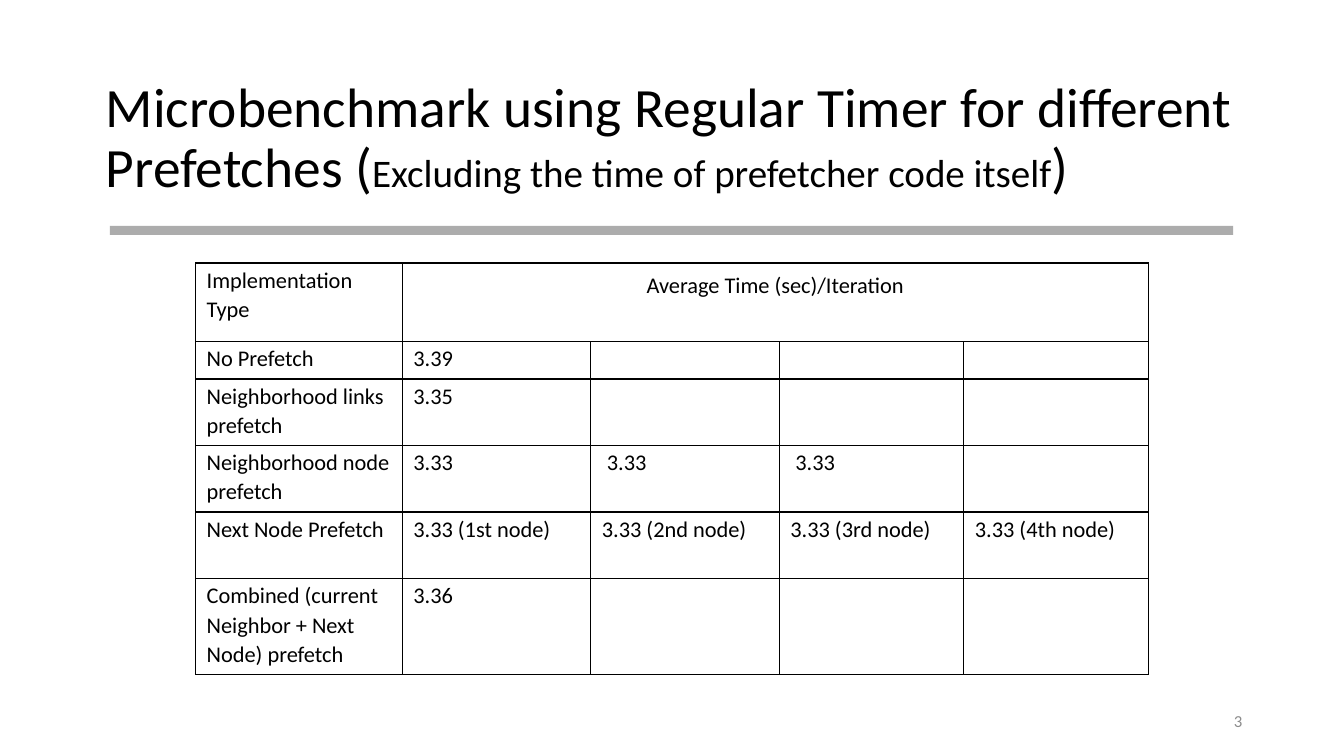
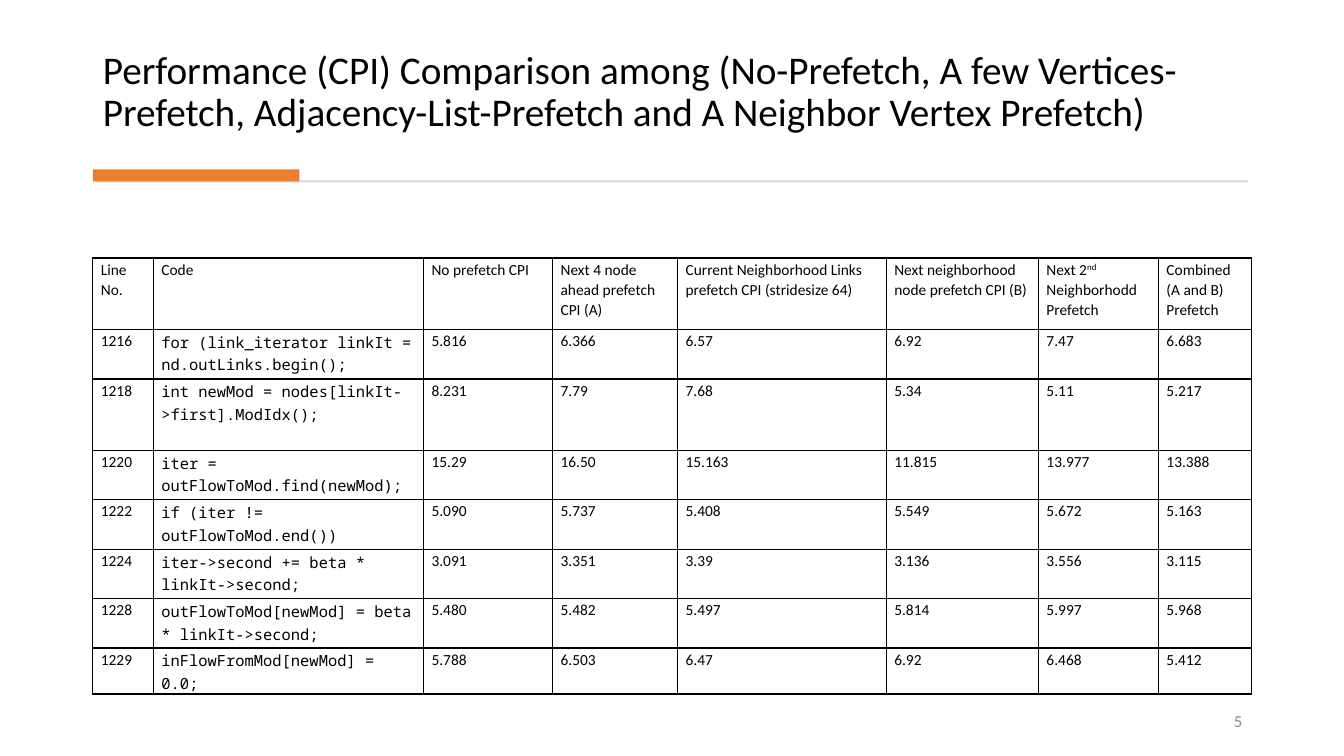
"""Build two slides that compare prefetching strategies in tables."""
from lxml import etree
from pptx import Presentation
from pptx.dml.color import RGBColor
from pptx.enum.shapes import MSO_SHAPE
from pptx.enum.text import MSO_ANCHOR, MSO_AUTO_SIZE, PP_ALIGN
from pptx.oxml.ns import qn
from pptx.util import Inches, Pt

COLORS = {"text": "000000", "number": "8C8C8C", "band": "808080",
          "rule": "D5D5D5", "accent": "ED7D31"}
BODY_FONT = "Calibri"
CODE_FONT = "Noto Sans Mono"
LINE_SPACING = 1.07
TITLE_SPACING = 0.9
NUMBER_BOX = (9.42, 6.95, 3, 0.4)
MARGIN_SIDES = ("margin_left", "margin_top", "margin_right", "margin_bottom")

TIMER_ROWS = [
    ["Implementation Type", "Average Time (sec)/Iteration", "", "", ""],
    ["No Prefetch", "3.39", "", "", ""],
    ["Neighborhood links prefetch", "3.35", "", "", ""],
    ["Neighborhood node prefetch", "3.33", "3.33", "3.33", ""],
    ["Next Node Prefetch", "3.33 (1st node)", "3.33 (2nd node)",
     "3.33 (3rd node)", "3.33 (4th node)"],
    ["Combined (current Neighbor + Next Node) prefetch", "3.36", "", "", ""],
]
CPI_ROWS = [
    ["Line No.", "Code", "No prefetch CPI", "Next 4 node ahead prefetch CPI (A)",
     "Current Neighborhood Links prefetch CPI (stridesize 64)",
     "Next neighborhood node prefetch CPI (B)",
     [("Next 2", {}), ("nd", {"baseline": 30000}), (" Neighborhodd Prefetch", {})],
     "Combined (A and B) Prefetch"],
    ["1216", "for (link_iterator linkIt = nd.outLinks.begin();",
     "5.816", "6.366", "6.57", "6.92", "7.47", "6.683"],
    ["1218", "int newMod = nodes[linkIt->first].ModIdx();",
     "8.231", "7.79", "7.68", "5.34", "5.11", "5.217"],
    ["1220", "iter = outFlowToMod.find(newMod);",
     "15.29", "16.50", "15.163", "11.815", "13.977", "13.388"],
    ["1222", "if (iter != outFlowToMod.end())",
     "5.090", "5.737", "5.408", "5.549", "5.672", "5.163"],
    ["1224", "iter->second += beta * linkIt->second;",
     "3.091", "3.351", "3.39", "3.136", "3.556", "3.115"],
    ["1228", "outFlowToMod[newMod] = beta * linkIt->second;",
     "5.480", "5.482", "5.497", "5.814", "5.997", "5.968"],
    ["1229", "inFlowFromMod[newMod] = 0.0;",
     "5.788", "6.503", "6.47", "6.92", "6.468", "5.412"],
]
SLIDES = [
    {
        "number": "3",
        "title": [("Microbenchmark using Regular Timer for different Prefetches (", {}),
                  ("Excluding the time of prefetcher code itself", {"size": 27.9}),
                  (")", {})],
        "title_size": 39.6, "title_box": (0.95, 0.66, 11.43, 1.45),
        "title_anchor": MSO_ANCHOR.MIDDLE,
        "bands": [((1.09, 2.24, 11.14, 0.09), "band", 65)],
        "rows": TIMER_ROWS, "position": (1.94, 2.61), "size": 16,
        "columns": [2.05, 1.87, 1.87, 1.83, 1.83],
        "heights": [0.78, 0.37, 0.66, 0.66, 0.66, 0.95],
        "margins": (0.11, 0.02, 0.11, 0),
        "spans": [((0, 1), (0, 4))],
        "special_margins": {(0, 1): (0.15, 0.07, 0.15, 0.07),
                            (3, 2): (0.16, 0.02, 0.11, 0),
                            (3, 3): (0.16, 0.02, 0.11, 0)},
        "code_column": None,
    },
    {
        "number": "5",
        "title": "Performance (CPI) Comparison among (No-Prefetch, A few "
                 "Vertices-Prefetch, Adjacency-List-Prefetch and A Neighbor Vertex Prefetch)",
        "title_size": 28, "title_box": (0.92, 0.28, 11.49, 1.11),
        "title_anchor": MSO_ANCHOR.BOTTOM,
        "bands": [((0.95, 1.79, 11.43, 0.02), "rule", 100),
                  ((0.92, 1.68, 2.05, 0.12), "accent", 100)],
        "rows": CPI_ROWS, "position": (0.92, 2.56), "size": 11,
        "columns": [0.6, 2.68, 1.28, 1.24, 2.07, 1.51, 1.19, 0.92],
        "heights": [0.71, 0.49, 0.71, 0.49, 0.49, 0.49, 0.49, 0.27],
        "margins": (0.08, 0.01, 0.08, 0),
        "spans": [], "special_margins": {}, "code_column": 1,
    },
]


def inches(values):
    return [Inches(value) for value in values]


def apply(target, formats):
    for name, value in formats.items():
        setattr(target, name, value)


def write(paragraph, content, size, font=BODY_FONT, color="text", **formats):
    apply(paragraph, formats)
    apply(paragraph.font, {"size": Pt(size), "name": font})
    runs = [(content, {})] if isinstance(content, str) else content
    for text, changes in runs:
        if not text:
            continue
        run = paragraph.add_run()
        run.text = text
        apply(run.font, {"size": Pt(changes.get("size", size)), "name": font, "bold": False})
        run.font.color.rgb = RGBColor.from_string(COLORS[color])
        if "baseline" in changes:
            run.font._element.set("baseline", str(changes["baseline"]))


def add_title(slide, design):
    title = slide.shapes.title
    apply(title, dict(zip(("left", "top", "width", "height"), inches(design["title_box"]))))
    apply(title.text_frame, {"word_wrap": True, "auto_size": MSO_AUTO_SIZE.NONE,
                             "vertical_anchor": design["title_anchor"]})
    write(title.text_frame.paragraphs[0], design["title"], design["title_size"],
          alignment=PP_ALIGN.LEFT, line_spacing=TITLE_SPACING)


def add_band(slide, box, color, opacity):
    band = slide.shapes.add_shape(MSO_SHAPE.RECTANGLE, *inches(box))
    band.shadow.inherit = False
    band.line.fill.background()
    band.fill.solid()
    band.fill.fore_color.rgb = RGBColor.from_string(COLORS[color])
    if opacity < 100:
        fill_color = band._element.spPr.find(qn("a:solidFill"))[0]
        etree.SubElement(fill_color, qn("a:alpha"), val=str(opacity * 1000))


def add_borders(cell):
    properties = cell._tc.get_or_add_tcPr()
    for index, side in enumerate(("lnL", "lnR", "lnT", "lnB")):
        line = etree.Element(qn("a:" + side), w=str(Pt(1)))
        fill = etree.SubElement(line, qn("a:solidFill"))
        etree.SubElement(fill, qn("a:srgbClr"), val=COLORS["text"])
        properties.insert(index, line)


def add_table(slide, design):
    columns, heights = design["columns"], design["heights"]
    frame = slide.shapes.add_table(len(heights), len(columns), *inches(design["position"]),
                                   Inches(sum(columns)), Inches(sum(heights)))
    table = frame.table
    apply(table, {"first_row": False, "horz_banding": False})
    for column, width in zip(table.columns, columns):
        column.width = Inches(width)
    for row, height in zip(table.rows, heights):
        row.height = Inches(height)
    for start, end in design["spans"]:
        table.cell(*start).merge(table.cell(*end))
    for row_index, row in enumerate(design["rows"]):
        for column_index, content in enumerate(row):
            place = (row_index, column_index)
            cell = table.cell(*place)
            margins = design["special_margins"].get(place, design["margins"])
            apply(cell, dict(zip(MARGIN_SIDES, inches(margins))))
            cell.fill.background()
            add_borders(cell)
            is_code = row_index > 0 and column_index == design["code_column"]
            write(cell.text_frame.paragraphs[0], content, design["size"],
                  CODE_FONT if is_code else BODY_FONT, line_spacing=LINE_SPACING,
                  alignment=PP_ALIGN.CENTER if cell.is_merge_origin else PP_ALIGN.LEFT)


def add_number(slide, number):
    box = slide.shapes.add_textbox(*inches(NUMBER_BOX))
    apply(box.text_frame, {"word_wrap": True, "vertical_anchor": MSO_ANCHOR.MIDDLE})
    write(box.text_frame.paragraphs[0], number, 12, color="number", alignment=PP_ALIGN.RIGHT)


def main():
    presentation = Presentation()
    apply(presentation, {"slide_width": Inches(13.33), "slide_height": Inches(7.5)})
    for design in SLIDES:
        slide = presentation.slides.add_slide(presentation.slide_layouts[5])
        add_title(slide, design)
        for band in design["bands"]:
            add_band(slide, *band)
        add_table(slide, design)
        add_number(slide, design["number"])
    presentation.save("out.pptx")


if __name__ == "__main__":
    main()
